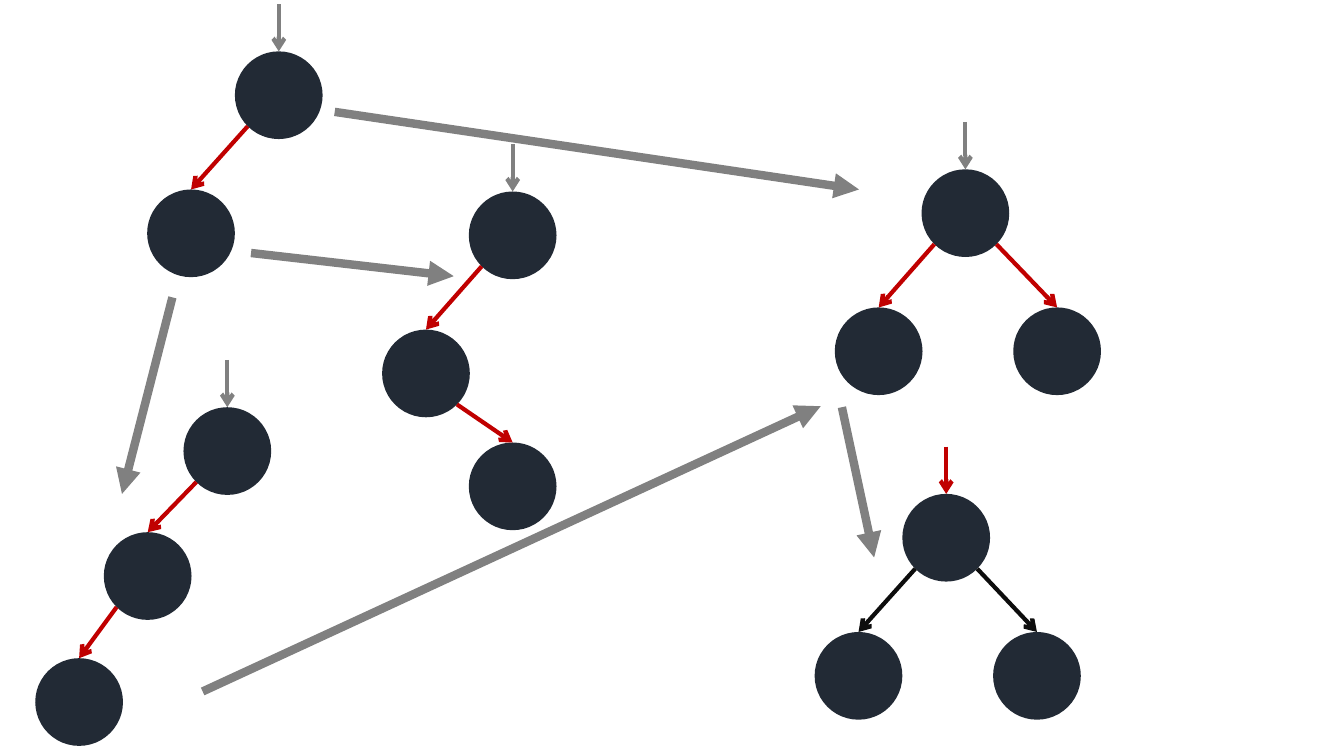
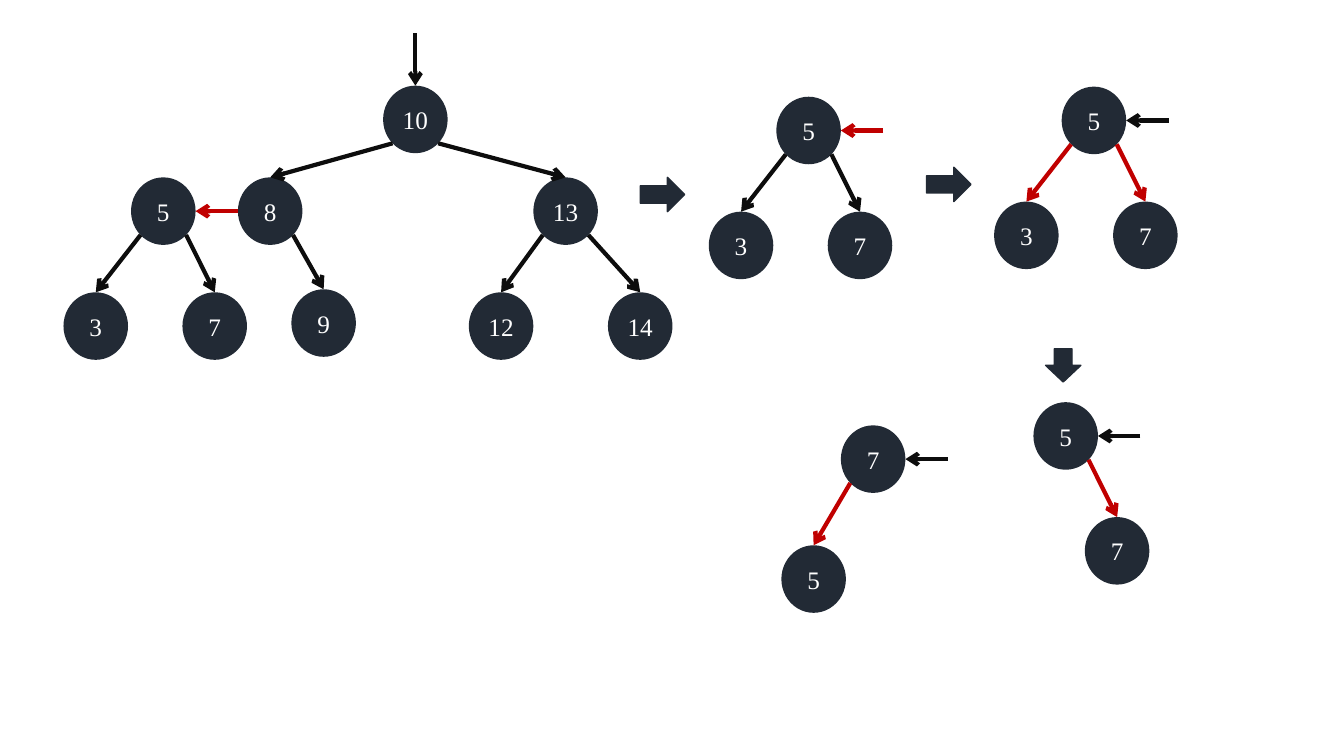
import dataclasses
import math

import lxml.etree
import pptx
import pptx.util
from pptx.dml.color import RGBColor
from pptx.enum.shapes import MSO_CONNECTOR, MSO_SHAPE
from pptx.enum.text import MSO_ANCHOR, PP_ALIGN
from pptx.oxml.ns import qn

NAVY = RGBColor(0x22, 0x2A, 0x35)
RED = RGBColor(0xC0, 0x00, 0x00)
BLACK = RGBColor(0x0D, 0x0D, 0x0D)
GREY = RGBColor(0x80, 0x80, 0x80)
WHITE = RGBColor(0xFF, 0xFF, 0xFF)

PX = 9144
SLIDE_SIZE = (1333, 750)
DIAGONAL = math.sqrt(0.5)
LABEL_FRAME = {
    "margin_left": 0,
    "margin_right": 0,
    "margin_top": 0,
    "margin_bottom": 0,
    "vertical_anchor": MSO_ANCHOR.MIDDLE,
    "word_wrap": True,
}
LABEL_FONT = {"name": "Times New Roman", "size": pptx.util.Pt(18)}


@dataclasses.dataclass
class Node:
    label: str
    offset: tuple
    edge: RGBColor = BLACK
    children: tuple = ()


@dataclasses.dataclass
class Pointer:
    side: str
    length: int
    color: RGBColor


def emu(*lengths):
    return [pptx.util.Emu(round(length * PX)) for length in lengths]


def apply(target, values):
    for key, value in values.items():
        setattr(target, key, value)


def add_arrow(shapes, start, end, color, width=3, head="arrow"):
    arrow = shapes.add_connector(MSO_CONNECTOR.STRAIGHT, *emu(*start, *end))
    arrow.line.width = pptx.util.Pt(width)
    arrow.line.color.rgb = color
    properties = arrow._element.spPr
    tail = lxml.etree.SubElement(properties.find(qn("a:ln")), qn("a:tailEnd"))
    tail.set("type", head)
    lxml.etree.SubElement(properties, qn("a:effectLst"))
    return arrow


def add_solid(shapes, preset, box):
    solid = shapes.add_shape(preset, *emu(*box))
    solid.shadow.inherit = False
    solid.fill.solid()
    solid.fill.fore_color.rgb = NAVY
    return solid


def add_node(shapes, box, label):
    circle = add_solid(shapes, MSO_SHAPE.OVAL, box)
    circle.line.fill.background()
    if label:
        apply(circle.text_frame, LABEL_FRAME)
        paragraph = circle.text_frame.paragraphs[0]
        paragraph.alignment = PP_ALIGN.CENTER
        run = paragraph.add_run()
        run.text = label
        apply(run.font, LABEL_FONT)
        run.font.color.rgb = WHITE
    return circle


def add_tree(shapes, left, top, size, node):
    width, height = size
    middle_x, middle_y = left + width / 2, top + height / 2
    circle = add_node(shapes, (left, top, width, height), node.label)
    for child in node.children:
        dx, dy = child.offset
        child_circle = add_tree(shapes, left + dx, top + dy, size, child)
        if dy == 0:
            add_arrow(shapes, (left, middle_y), (left + dx + width, middle_y), child.edge)
            continue
        start = (middle_x + math.copysign(width / 2 * DIAGONAL, dx),
                 middle_y + height / 2 * DIAGONAL)
        edge = add_arrow(shapes, start, (middle_x + dx, top + dy), child.edge)
        edge.end_connect(child_circle, 0)
    return circle


def add_pointed_tree(shapes, place, size, root, pointer):
    left, top = place
    width, height = size
    circle = add_tree(shapes, left, top, size, root)
    if pointer.side == "top":
        end = (left + width / 2, top)
        start = (end[0], top - pointer.length)
    else:
        end = (left + width, top + height / 2)
        start = (end[0] + pointer.length, end[1])
    arrow = add_arrow(shapes, start, end, pointer.color)
    if pointer.side == "top":
        arrow.end_connect(circle, 0)


def pair(left_offset, right_offset, color, labels=("", "")):
    return tuple(Node(label, offset, color)
                 for label, offset in zip(labels, (left_offset, right_offset)))


def build_recursion_slide(slide):
    size = (87, 87)
    chain = Node("", (-79, 124), RED, (Node("", (-68, 125), RED),))
    zigzag = Node("", (-86, 137), RED, (Node("", (86, 112), RED),))
    trees = [
        ((233, 51), (Node("", (-87, 137), RED),), GREY),
        ((465, 190), (zigzag,), GREY),
        ((914, 168), pair((-86, 137), (91, 137), RED), GREY),
        ((182, 404), (chain,), GREY),
        ((895, 490), pair((-87, 137), (90, 137), BLACK), RED),
    ]
    for place, children, color in trees:
        root = Node("", (0, 0), children=children)
        add_pointed_tree(slide.shapes, place, size, root, Pointer("top", 47, color))
    steps = [
        ((332, 111), (852, 188)),
        ((171, 295), (121, 490)),
        ((249, 251), (450, 274)),
        ((835, 404), (867, 553)),
        ((201, 686), (814, 403)),
    ]
    for start, end in steps:
        add_arrow(slide.shapes, start, end, GREY, 6, "triangle")


def build_rotation_slide(slide):
    size = (64, 67)
    low_left, low_right = (-67, 114), (51, 114)
    five = Node("5", (-106, 0), RED, pair(low_left, low_right, BLACK, ("3", "7")))
    eight = Node("8", (-144, 91), BLACK, (five, Node("9", (53, 111))))
    thirteen = Node("13", (149, 91), BLACK,
                    pair((-64, 114), (74, 114), BLACK, ("12", "14")))
    full_tree = slide.shapes.add_group_shape().shapes
    add_pointed_tree(full_tree, (380, 85), size,
                     Node("10", (0, 0), children=(eight, thirteen)),
                     Pointer("top", 52, BLACK))
    subtrees = [
        ((770, 96), "5", pair(low_left, low_right, BLACK, ("3", "7")), RED),
        ((1053, 86), "5", pair(low_left, low_right, RED, ("3", "7")), BLACK),
        ((1025, 399), "5", (Node("7", low_right, RED),), BLACK),
        ((834, 422), "7", (Node("5", (-59, 119), RED),), BLACK),
    ]
    for place, label, children, color in subtrees:
        root = Node(label, (0, 0), children=children)
        add_pointed_tree(slide.shapes, place, size, root, Pointer("right", 42, color))
    steps = [
        (MSO_SHAPE.RIGHT_ARROW, (635, 176, 44, 34)),
        (MSO_SHAPE.RIGHT_ARROW, (919, 166, 44, 34)),
        (MSO_SHAPE.DOWN_ARROW, (1037, 346, 35, 33)),
    ]
    for preset, box in steps:
        step = add_solid(slide.shapes, preset, box)
        step.line.color.rgb = NAVY
        step.line.width = pptx.util.Pt(1)


def main():
    presentation = pptx.Presentation()
    presentation.slide_width, presentation.slide_height = emu(*SLIDE_SIZE)
    for build in (build_recursion_slide, build_rotation_slide):
        build(presentation.slides.add_slide(presentation.slide_layouts[6]))
    presentation.save("out.pptx")


if __name__ == "__main__":
    main()
